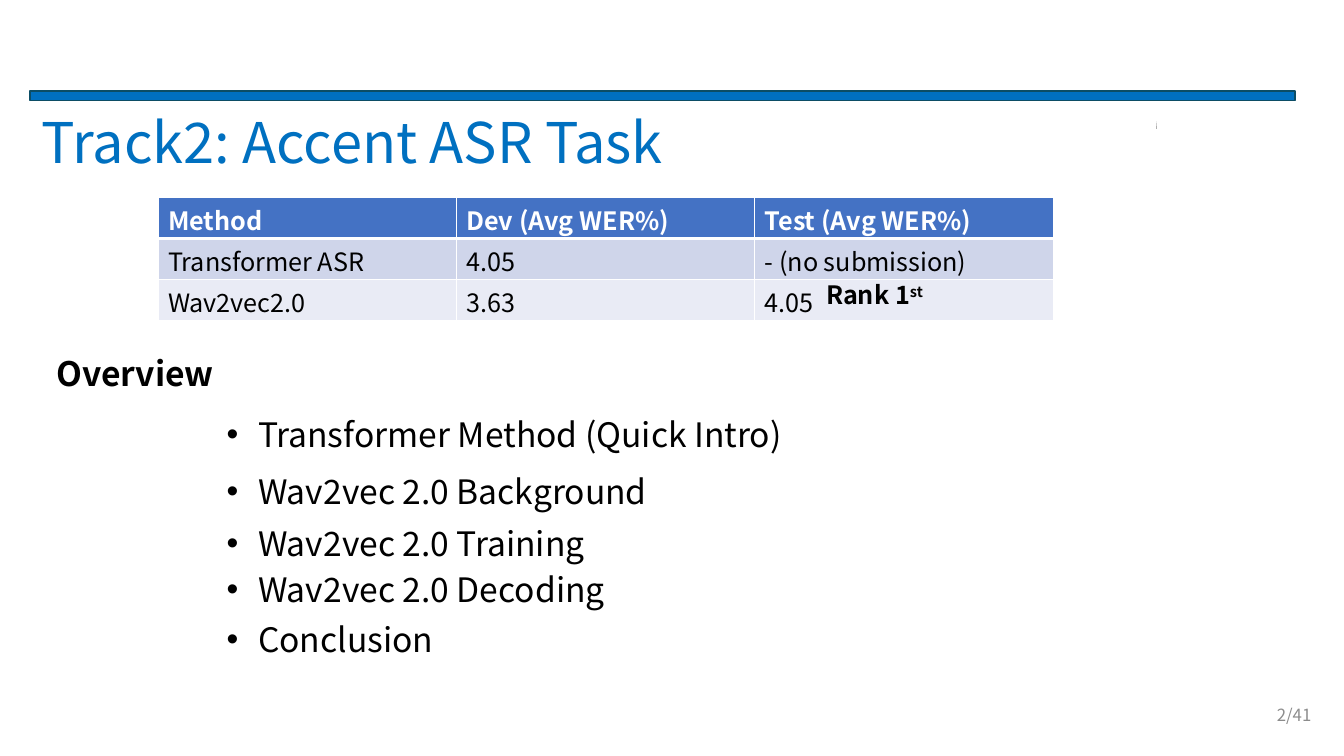
from lxml import etree
from pptx import Presentation
from pptx.dml.color import RGBColor
from pptx.enum.shapes import MSO_CONNECTOR, MSO_SHAPE
from pptx.enum.text import MSO_ANCHOR, MSO_AUTO_SIZE, PP_ALIGN
from pptx.oxml.ns import qn
from pptx.util import Cm, Pt

FONT = "Noto Sans CJK SC"
BLUE = RGBColor(0x00, 0x70, 0xC0)
EDGE = RGBColor(0x0C, 0x4D, 0x65)
HEAD = RGBColor(0x44, 0x72, 0xC4)
BANDS = [HEAD, RGBColor(0xCF, 0xD5, 0xEA), RGBColor(0xE9, 0xEB, 0xF5)]
BLACK = RGBColor(0, 0, 0)
WHITE = RGBColor(255, 255, 255)
GRAY = RGBColor(0x8C, 0x8C, 0x8C)
TICKS = [RGBColor(0xAF, 0xAF, 0xAF), RGBColor(0xCE, 0xCE, 0xCE),
         RGBColor(0xEF, 0xEF, 0xEF)]
LEFT, RIGHT, CENTER = PP_ALIGN.LEFT, PP_ALIGN.RIGHT, PP_ALIGN.CENTER
TOP, MIDDLE = MSO_ANCHOR.TOP, MSO_ANCHOR.MIDDLE
NO_FIT = MSO_AUTO_SIZE.NONE
RECT, LINE = MSO_SHAPE.RECTANGLE, MSO_CONNECTOR.STRAIGHT


def style(para, size, color, bold=False, align=LEFT):
    para.alignment = align
    font = para.font
    font.name, font.size, font.bold = FONT, Pt(size), bold
    font.color.rgb = color


def place(shape, left, top, width, height, anchor=TOP):
    shape.left, shape.top = Cm(left), Cm(top)
    shape.width, shape.height = Cm(width), Cm(height)
    frame = shape.text_frame
    frame.word_wrap = True
    frame.auto_size = NO_FIT
    frame.vertical_anchor = anchor
    return frame


prs = Presentation()
prs.slide_width, prs.slide_height = Cm(33.87), Cm(19.05)
slide = prs.slides.add_slide(prs.slide_layouts[1])
shapes = slide.shapes

bar = shapes.add_shape(RECT, Cm(0.76), Cm(2.29), Cm(31.88), Cm(0.24))
bar.shadow.inherit = False
bar.fill.solid()
bar.fill.fore_color.rgb = BLUE
bar.line.color.rgb = EDGE
bar.line.width = Pt(1)

for i, color in enumerate(TICKS):
    low = 3.25 - 0.07 * i
    tick = shapes.add_connector(LINE, Cm(29.13), Cm(low), Cm(29.13), Cm(low - 0.07))
    tick.line.color.rgb = color
    tick.line.width = Pt(0.25)
    etree.SubElement(tick._element.spPr, qn("a:effectLst"))

title = place(shapes.title, 0.5, 2.42, 16.76, 2.29, MIDDLE)
title.text = "Track2: Accent ASR Task"
style(title.paragraphs[0], 40, BLUE, align=CENTER)

rows = [
    ["Method", "Dev (Avg WER%)", "Test (Avg WER%)"],
    ["Transformer ASR", "4.05", "- (no submission)"],
    ["Wav2vec2.0", "3.63", "4.05"],
]
table = shapes.add_table(3, 3, Cm(3.98), Cm(4.98), Cm(22.56), Cm(3.09)).table
for r, row in enumerate(rows):
    table.rows[r].height = Cm(1.03)
    for c, text in enumerate(row):
        cell = table.cell(r, c)
        cell.text = text
        cell.margin_top, cell.margin_bottom = Cm(0.1), 0
        style(cell.text_frame.paragraphs[0], 18, BLACK if r else WHITE, r == 0)
        props = cell._tc.get_or_add_tcPr()
        for side in "LRTB":
            thick = (r, side) in [(0, "B"), (1, "T")]
            line = etree.SubElement(props, qn("a:ln" + side), w=str(Pt(3 if thick else 1)))
            fill = etree.SubElement(line, qn("a:solidFill"))
            etree.SubElement(fill, qn("a:srgbClr"), val=str(WHITE))
        cell.fill.solid()
        cell.fill.fore_color.rgb = BANDS[r]

notes = [
    ("2/41", 25.68, 17.5, 7.62, 1.02, 12, GRAY, False, RIGHT, MIDDLE),
    ("Rank 1", 20.57, 6.92, 9.35, 1.02, 18, BLACK, True, LEFT, TOP),
    ("Overview", 1.17, 8.77, 5.54, 1.27, 24, BLACK, True, LEFT, TOP),
]
for text, left, top, width, height, size, color, bold, align, anchor in notes:
    box = shapes.add_textbox(0, 0, 0, 0)
    para = place(box, left, top, width, height, anchor).paragraphs[0]
    para.add_run().text = text
    style(para, size, color, bold, align)
    if text == "Rank 1":
        mark = para.add_run()
        mark.text = "st"
        mark.font._element.set("baseline", "30000")

items = [
    ("Transformer Method (Quick Intro)", 0),
    ("Wav2vec 2.0 Background", 7.3),
    ("Wav2vec 2.0 Training", 4.4),
    ("Wav2vec 2.0 Decoding", 0),
    ("Conclusion", 2.3),
]
body = place(slide.placeholders[1], 5.46, 10.16, 16.56, 6.6)
body.text = "\n".join(text for text, gap in items)
for para, (text, gap) in zip(body.paragraphs, items):
    style(para, 24, BLACK)
    para.line_spacing = Pt(33)
    para.space_before, para.space_after = Pt(gap), Pt(0)
    props = para._p.get_or_add_pPr()
    props.set("marL", str(Cm(0.79)))
    props.set("indent", str(-Cm(0.79)))

prs.save("out.pptx")
